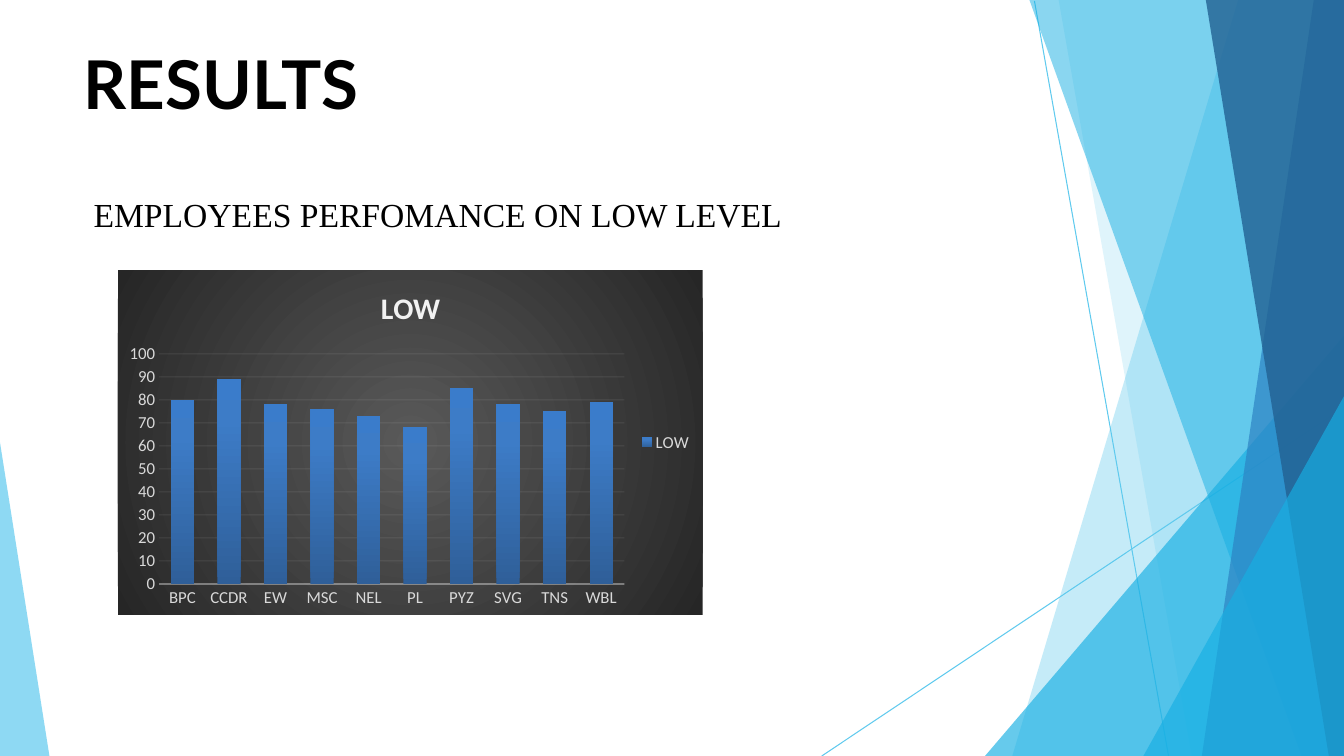
import dataclasses
import typing

import lxml.etree
import pptx
import pptx.chart.data
import pptx.dml.color
import pptx.enum.chart
import pptx.enum.text
import pptx.oxml
import pptx.oxml.ns
import pptx.util

Inches = pptx.util.Inches
Pt = pptx.util.Pt
qn = pptx.oxml.ns.qn

WIDTH, HEIGHT = 13.33, 7.5
SKY, CYAN, BLUE, NAVY = "5FCAEE", "17AFE3", "2D83C3", "226192"
LABEL_GREY, LIGHT_GREY = "D9D9D9", "F2F2F2"
Point = tuple[float, float]
Stop = tuple[int, str]


@dataclasses.dataclass
class Ray:
    start: Point
    end: Point


@dataclasses.dataclass
class Facet:
    points: list[Point]
    colour: str
    opacity: int


def right_facet(edge: list[Point], colour: str, opacity: int) -> Facet:
    """Facet between an edge, listed downwards, and the right side of the slide."""
    top = edge[0][1]
    return Facet([(WIDTH, top), *edge, (WIDTH, HEIGHT)], colour, opacity)


RAYS = [
    Ray((10.26, 0.01), (11.59, HEIGHT)),
    Ray((WIDTH, 4.04), (8.15, HEIGHT)),
]
FACETS = [
    right_facet([(12.28, 0), (10.04, HEIGHT)], SKY, 36),
    right_facet([(10.5, 0), (11.82, HEIGHT)], SKY, 20),
    right_facet([(WIDTH, 3.33), (9.77, HEIGHT)], CYAN, 66),
    right_facet([(10.21, 0), (12.91, HEIGHT)], CYAN, 50),
    right_facet([(13.03, 0), (11.92, HEIGHT)], BLUE, 70),
    right_facet([(11.96, 0), (13.18, HEIGHT)], NAVY, 80),
    right_facet([(WIDTH, 3.93), (11.34, HEIGHT)], CYAN, 66),
    Facet([(0, 4.39), (0, HEIGHT), (0.49, HEIGHT)], SKY, 70),
]
SCORES = {
    "BPC": 80, "CCDR": 89, "EW": 78, "MSC": 76, "NEL": 73,
    "PL": 68, "PYZ": 85, "SVG": 78, "TNS": 75, "WBL": 79,
}


def set_values(target: typing.Any, values: dict[str, typing.Any]) -> None:
    for name, value in values.items():
        setattr(target, name, value)


def set_colour(fill: typing.Any, colour: str, opacity: int = 100) -> None:
    fill.solid()
    fill.fore_color.rgb = pptx.dml.color.RGBColor.from_string(colour)
    if opacity < 100:
        element = fill._xPr.find(".//" + qn("a:srgbClr"))
        lxml.etree.SubElement(element, qn("a:alpha"), val=str(opacity * 1000))


def set_line(line: typing.Any, colour: str, width: float, opacity: int = 100) -> None:
    line.width = Pt(width)
    set_colour(line.fill, colour, opacity)


def set_font(font: typing.Any, name: str, size: float, colour: str, bold: bool = False) -> None:
    set_values(font, {"name": name, "size": Pt(size), "bold": bold})
    set_colour(font.fill, colour)


def add_gradient(properties: typing.Any, stops: list[Stop]) -> typing.Any:
    """Append a gradient fill; the caller adds its direction."""
    gradient = lxml.etree.SubElement(properties, qn("a:gradFill"))
    stop_list = lxml.etree.SubElement(gradient, qn("a:gsLst"))
    for position, colour in stops:
        stop = lxml.etree.SubElement(stop_list, qn("a:gs"), pos=str(position * 1000))
        lxml.etree.SubElement(stop, qn("a:srgbClr"), val=colour)
    return gradient


def add_ray(slide: typing.Any, ray: Ray) -> None:
    ends = [Inches(length) for length in (*ray.start, *ray.end)]
    connector = slide.shapes.add_connector(pptx.enum.shapes.MSO_CONNECTOR.STRAIGHT, *ends)
    set_line(connector.line, SKY, 0.75)
    lxml.etree.SubElement(connector._element.spPr, qn("a:effectLst"))


def add_facet(slide: typing.Any, facet: Facet) -> None:
    points = [(Inches(x), Inches(y)) for x, y in facet.points]
    builder = slide.shapes.build_freeform(*points[0])
    builder.add_line_segments(points[1:], close=True)
    shape = builder.convert_to_shape()
    shape.shadow.inherit = False
    set_colour(shape.fill, facet.colour, facet.opacity)
    shape.line.fill.background()


def add_title(slide: typing.Any) -> None:
    title = slide.shapes.title
    set_values(title, {"left": Inches(0.83), "top": Inches(0.42),
                       "width": Inches(11.68), "height": Inches(1.62)})
    frame = title.text_frame
    margins = dict.fromkeys(["margin_left", "margin_top", "margin_right", "margin_bottom"], 0)
    set_values(frame, margins | {"text": "RESULTS",
                                 "vertical_anchor": pptx.enum.text.MSO_ANCHOR.TOP})
    paragraph = frame.paragraphs[0]
    set_values(paragraph, {"alignment": pptx.enum.text.PP_ALIGN.LEFT, "line_spacing": 1.0})
    set_font(paragraph.runs[0].font, "Lato", 48, "000000", bold=True)


def add_subtitle(slide: typing.Any) -> None:
    box = slide.shapes.add_textbox(Inches(0.83), Inches(1.87), Inches(7.1), Inches(1.21))
    set_values(box.text_frame, {"word_wrap": False, "text": "EMPLOYEES PERFOMANCE ON LOW LEVEL"})
    run = box.text_frame.paragraphs[0].runs[0]
    set_font(run.font, "Times New Roman", 24, "000000")


def format_axes(chart: typing.Any) -> None:
    for axis in (chart.category_axis, chart.value_axis):
        axis.major_tick_mark = pptx.enum.chart.XL_TICK_MARK.NONE
        set_font(axis.tick_labels.font, "Calibri", 12, LABEL_GREY)
    set_line(chart.category_axis.format.line, LIGHT_GREY, 1, 54)
    value_axis = chart.value_axis
    set_values(value_axis, {"minimum_scale": 0, "maximum_scale": 100, "major_unit": 10})
    value_axis.format.line.fill.background()
    set_line(value_axis.major_gridlines.format.line, LIGHT_GREY, 0.75, 10)


def fill_chart_area(chart: typing.Any) -> None:
    properties = lxml.etree.Element(qn("c:spPr"))
    gradient = add_gradient(properties, [(0, "595959"), (100, "262626")])
    circle = lxml.etree.SubElement(gradient, qn("a:path"), {"path": "circle"})
    centre = dict.fromkeys("ltrb", "50000")
    lxml.etree.SubElement(circle, qn("a:fillToRect"), centre)
    outline = lxml.etree.SubElement(properties, qn("a:ln"))
    lxml.etree.SubElement(outline, qn("a:noFill"))
    chart._chartSpace.find(qn("c:chart")).addnext(properties)


def add_score_chart(slide: typing.Any) -> None:
    data = pptx.chart.data.CategoryChartData()
    data.categories = list(SCORES)
    data.add_series("LOW", list(SCORES.values()))
    chart = slide.shapes.add_chart(
        pptx.enum.chart.XL_CHART_TYPE.COLUMN_CLUSTERED,
        Inches(1.17), Inches(2.68), Inches(5.8), Inches(3.42), data).chart
    set_font(chart.font, "Calibri", 10, "000000")
    set_values(chart, {"has_title": True, "has_legend": True})
    chart.chart_title.text_frame.text = "LOW"
    title_run = chart.chart_title.text_frame.paragraphs[0].runs[0]
    set_font(title_run.font, "Calibri", 21.3, LIGHT_GREY, bold=True)
    set_values(chart.legend, {"position": pptx.enum.chart.XL_LEGEND_POSITION.RIGHT,
                              "include_in_layout": False})
    set_font(chart.legend.font, "Calibri", 12, LABEL_GREY)
    format_axes(chart)
    plot = chart.plots[0]
    set_values(plot, {"gap_width": 100, "overlap": -24, "vary_by_categories": False})
    bar_properties = plot.series[0]._element.get_or_add_spPr()
    gradient = add_gradient(bar_properties, [(0, "2F5F99"), (80, "3D7CC7"), (100, "3A7CCB")])
    lxml.etree.SubElement(gradient, qn("a:lin"), ang=str(270 * 60000), scaled="0")
    fill_chart_area(chart)


def main() -> None:
    presentation = pptx.Presentation()
    set_values(presentation, {"slide_width": Inches(WIDTH), "slide_height": Inches(HEIGHT)})
    slide = presentation.slides.add_slide(presentation.slide_layouts.get_by_name("Title Only"))
    set_colour(slide.background.fill, "FFFFFF")
    for ray in RAYS:
        add_ray(slide, ray)
    for facet in FACETS:
        add_facet(slide, facet)
    add_title(slide)
    add_subtitle(slide)
    add_score_chart(slide)
    presentation.save("out.pptx")


if __name__ == "__main__":
    main()
